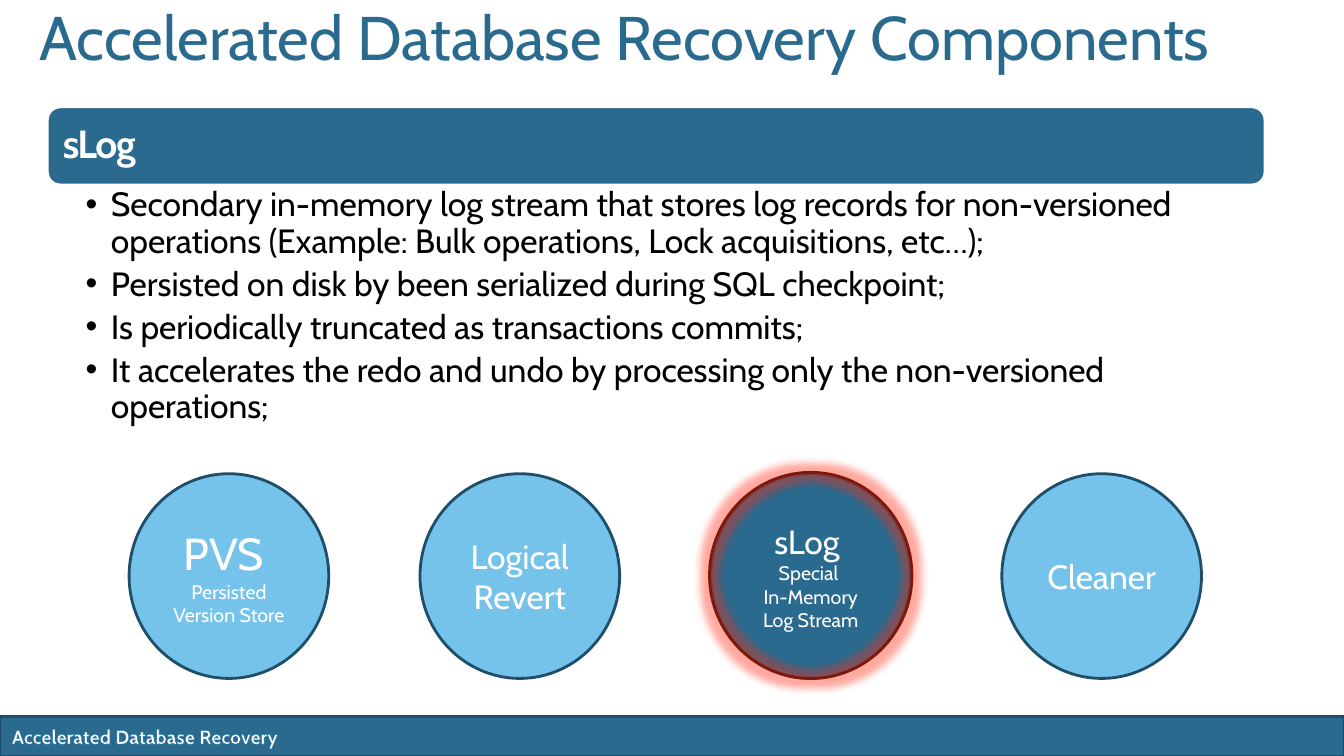
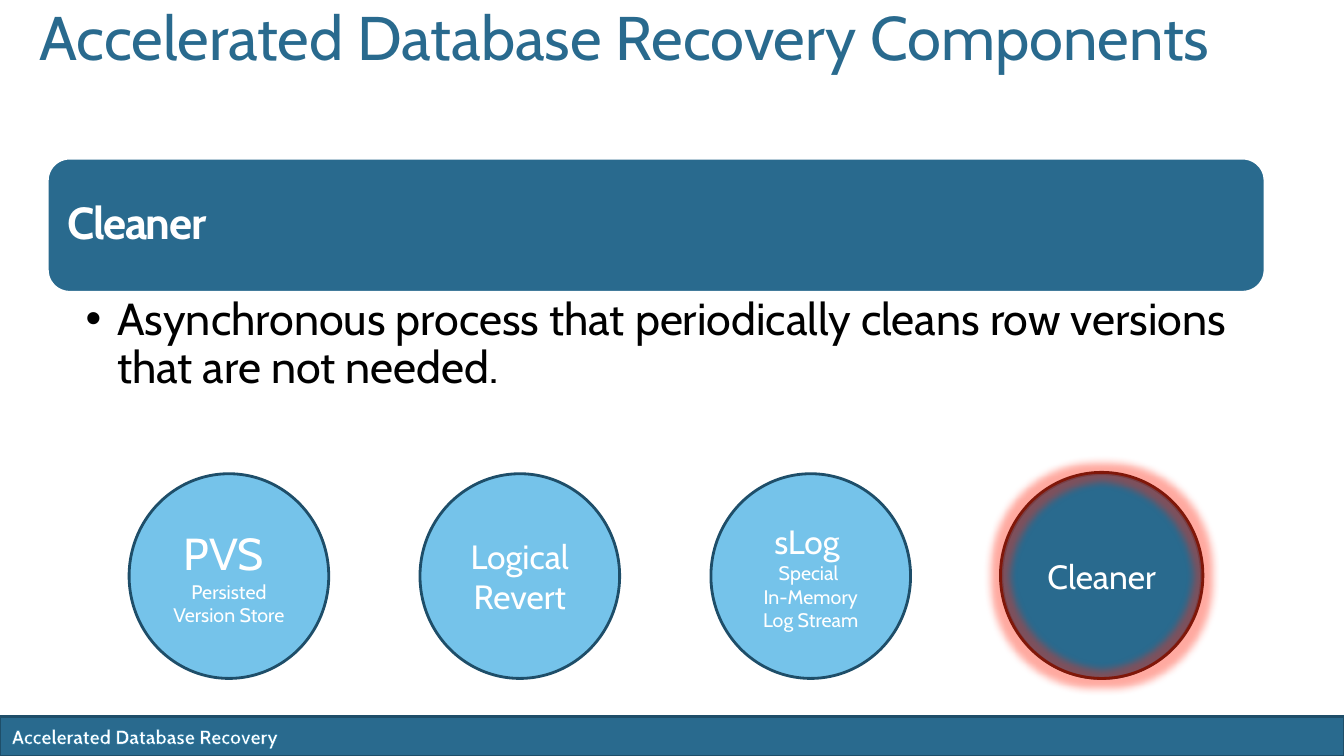
"""Build two slides on the components of accelerated database recovery."""
from dataclasses import dataclass

from lxml.etree import SubElement
from pptx import Presentation
from pptx.dml.color import RGBColor
from pptx.enum.shapes import MSO_SHAPE
from pptx.enum.text import MSO_ANCHOR, MSO_AUTO_SIZE, PP_ALIGN
from pptx.oxml import parse_xml
from pptx.oxml.ns import nsdecls, qn
from pptx.util import Pt

TITLE = "Accelerated Database Recovery Components"
FOOTER = "Accelerated Database Recovery"
COMPONENTS = [
    [("PVS ", 32), ("Persisted Version Store", 14)],
    [("Logical Revert", 24)],
    [("sLog ", 24), ("Special ", 14), ("In-Memory Log Stream", 14)],
    [("Cleaner", 24)],
]
SLIDES = [
    {
        "heading": "sLog", "heading_size": 28, "top": 76.3, "height": 55.8,
        "bullets": [
            "Secondary in-memory log stream that stores log records for non-versioned "
            "operations (Example: Bulk operations, Lock acquisitions, etc…);",
            "Persisted on disk by been serialized during SQL checkpoint;",
            "Is periodically truncated as transactions commits;",
            "It accelerates the redo and undo by processing only the non-versioned operations;",
        ],
        "bullet_size": 24, "indent": 18, "body_height": 198, "active": 2,
    },
    {
        "heading": "Cleaner", "heading_size": 32, "top": 113, "height": 95.8,
        "bullets": [
            "Asynchronous process that periodically cleans row versions that are not needed.",
        ],
        "bullet_size": 32, "indent": 22.5, "body_height": 85, "active": 3,
    },
]


@dataclass(frozen=True)
class Theme:
    """Colours, font and type sizes."""
    font: str = "Cabin"
    blue: RGBColor = RGBColor.from_string("296A8E")
    light: RGBColor = RGBColor.from_string("75C3EA")
    edge: RGBColor = RGBColor.from_string("1E4E69")
    ring: RGBColor = RGBColor.from_string("801709")
    white: RGBColor = RGBColor.from_string("FFFFFF")
    black: RGBColor = RGBColor.from_string("000000")
    glow: str = "FF2A12"
    outline: str = "1872A0"
    title: int = 44
    footer: int = 14


T = Theme()
WIDTH, HEIGHT = 960, 540
PANEL_LEFT, PANEL_WIDTH = 33.8, 869.8
CIRCLE_LEFT, CIRCLE_TOP, CIRCLE_PITCH = 92.2, 338.4, 207.8
CIRCLE_W, CIRCLE_H = 142.6, 146.2


def place(sp, left, top, width, height):
    """Move and size a shape."""
    sp.left, sp.top, sp.width, sp.height = map(Pt, (left, top, width, height))


def add_run(p, text, size, color, bold=False):
    """Add one formatted run."""
    r = p.add_run()
    r.text = text
    r.font.name, r.font.size, r.font.bold = T.font, Pt(size), bold
    r.font.color.rgb = color
    return r


def add_shape(s, kind, box, fill, line):
    """Add a flat preset shape; without a fill it is hollow."""
    sp = s.shapes.add_shape(kind, *map(Pt, box))
    sp.shadow.inherit = False
    if fill is None:
        sp.fill.background()
    else:
        sp.fill.solid()
        sp.fill.fore_color.rgb = fill
    sp.line.color.rgb, sp.line.width = line, Pt(2)
    return sp


def paragraphs(tf, count):
    """Return the given number of paragraphs of a frame."""
    return [tf.paragraphs[0]] + [tf.add_paragraph() for _ in range(count - 1)]


def add_footer(s, layout):
    """Build the footer band and move it to the layout."""
    band = add_shape(s, MSO_SHAPE.RECTANGLE, (0, 511.5, WIDTH, 28.5), T.blue, T.edge)
    label = s.shapes.add_textbox(Pt(1.4), Pt(514), Pt(436), Pt(24.2))
    label.text_frame.word_wrap = True
    r = add_run(label.text_frame.paragraphs[0], FOOTER, T.footer, T.white, True)
    r._r.get_or_add_rPr().insert(0, parse_xml(
        f'<a:ln {nsdecls("a")} w="{Pt(0.8)}"><a:solidFill>'
        f'<a:srgbClr val="{T.outline}"/></a:solidFill></a:ln>'))
    for sp in (band, label):
        layout.shapes.element.append(sp.element)


def set_title(s):
    """Fill the title placeholder."""
    sp = s.shapes.title
    place(sp, 20.9, 13.7, 895, 90)
    tf = sp.text_frame
    tf.auto_size, tf.vertical_anchor = MSO_AUTO_SIZE.NONE, MSO_ANCHOR.TOP
    p = tf.paragraphs[0]
    p.alignment, p.line_spacing = PP_ALIGN.LEFT, Pt(35)
    add_run(p, TITLE, T.title, T.blue)


def add_heading(s, d):
    """Add the rounded heading panel."""
    box = (PANEL_LEFT, d["top"], PANEL_WIDTH, d["height"])
    sp = add_shape(s, MSO_SHAPE.ROUNDED_RECTANGLE, box, T.blue, T.white)
    tf = sp.text_frame
    tf.margin_left = tf.margin_right = Pt(0.3 * d["heading_size"])
    tf.vertical_anchor = MSO_ANCHOR.MIDDLE
    p = tf.paragraphs[0]
    p.alignment, p.line_spacing = PP_ALIGN.LEFT, 0.9
    r = add_run(p, d["heading"], d["heading_size"], T.white, True)
    r._r.get_or_add_rPr().set("spc", "-100")


def set_bullets(s, d):
    """Fill the body placeholder below the heading panel."""
    sp = s.placeholders[1]
    place(sp, PANEL_LEFT, d["top"] + d["height"], PANEL_WIDTH, d["body_height"])
    tf, size = sp.text_frame, d["bullet_size"]
    tf.auto_size, tf.vertical_anchor = MSO_AUTO_SIZE.NONE, MSO_ANCHOR.TOP
    tf.margin_left, tf.margin_right = Pt(27.4), Pt(0.56 * size)
    tf.margin_top = tf.margin_bottom = Pt(0.09 * size)
    for p, text in zip(paragraphs(tf, len(d["bullets"])), d["bullets"]):
        p.line_spacing, p.space_before, p.space_after = 0.9, Pt(0), Pt(0.2 * size)
        pPr = p._p.get_or_add_pPr()
        pPr.set("marL", str(Pt(d["indent"])))
        pPr.set("indent", str(-Pt(d["indent"])))
        SubElement(pPr, qn("a:buChar")).set("char", "•")
        add_run(p, text, size, T.black)


def add_circles(s, active):
    """Add the row of components and ring the active one."""
    for i, lines in enumerate(COMPONENTS):
        box = (CIRCLE_LEFT + i * CIRCLE_PITCH, CIRCLE_TOP, CIRCLE_W, CIRCLE_H)
        fill = T.blue if i == active else T.light
        tf = add_shape(s, MSO_SHAPE.OVAL, box, fill, T.edge).text_frame
        tf.word_wrap, tf.vertical_anchor = True, MSO_ANCHOR.MIDDLE
        for p, (text, size) in zip(paragraphs(tf, len(lines)), lines):
            p.alignment = PP_ALIGN.CENTER
            add_run(p, text, size, T.white)
    left = CIRCLE_LEFT + active * CIRCLE_PITCH - 1
    box = (left, CIRCLE_TOP - 1, CIRCLE_W + 2, CIRCLE_H + 1)
    ring = add_shape(s, MSO_SHAPE.OVAL, box, None, T.ring)
    ring.element.spPr.find(qn("a:effectLst")).append(parse_xml(
        f'<a:glow {nsdecls("a")} rad="{Pt(11)}"><a:srgbClr val="{T.glow}">'
        '<a:alpha val="40000"/></a:srgbClr></a:glow>'))


def main():
    """Build and save the presentation."""
    prs = Presentation()
    prs.slide_width, prs.slide_height = Pt(WIDTH), Pt(HEIGHT)
    layout = prs.slide_layouts[1]
    for i, d in enumerate(SLIDES):
        s = prs.slides.add_slide(layout)
        if i == 0:
            add_footer(s, layout)
        set_title(s)
        add_heading(s, d)
        set_bullets(s, d)
        add_circles(s, d["active"])
    prs.save("out.pptx")


if __name__ == "__main__":
    main()
